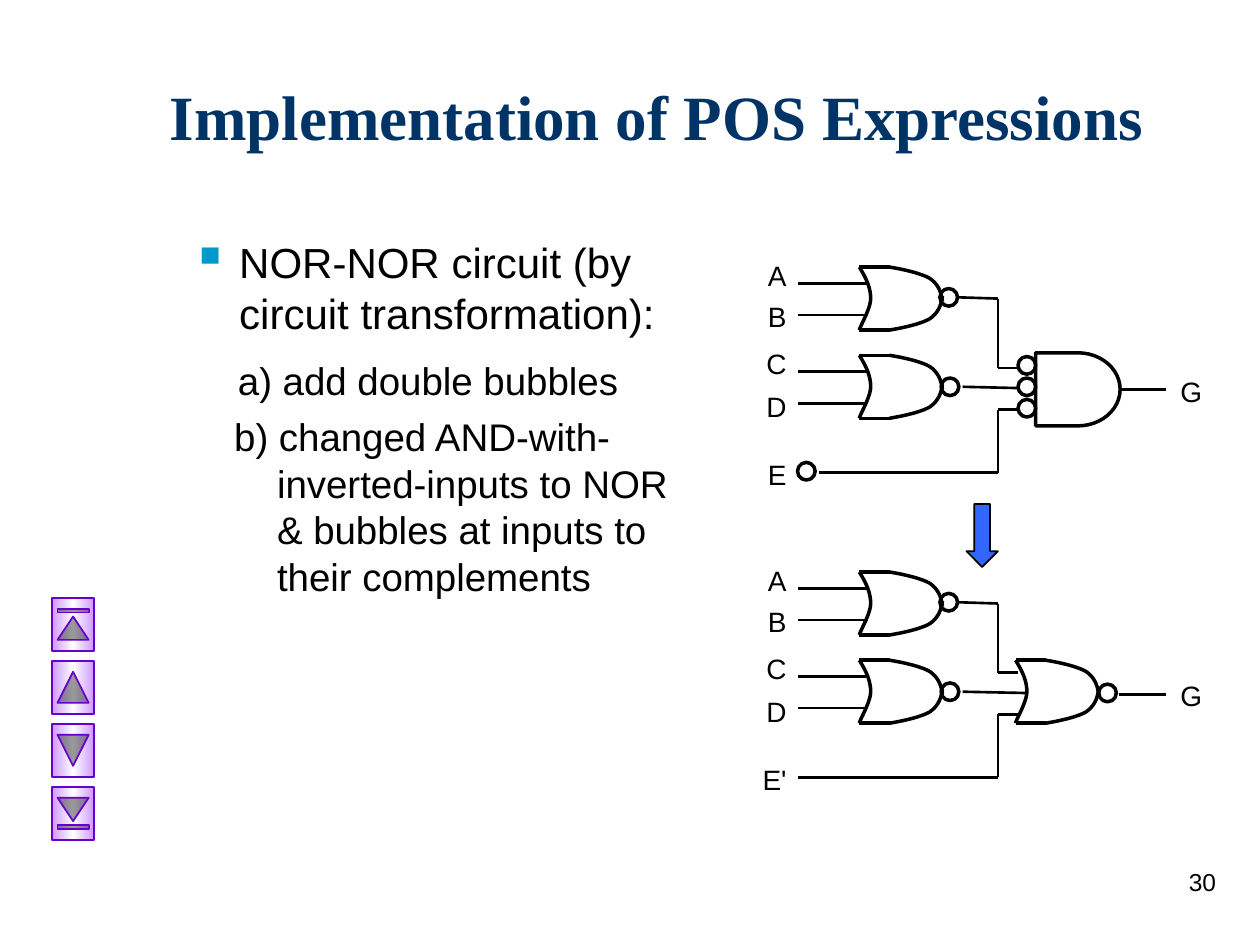
from dataclasses import dataclass
from typing import NamedTuple

from lxml import etree
from pptx import Presentation
from pptx.dml.color import RGBColor
from pptx.enum.shapes import MSO_CONNECTOR, MSO_SHAPE as Shape
from pptx.enum.text import MSO_ANCHOR as Anchor, PP_ALIGN as Align
from pptx.oxml.ns import qn
from pptx.util import Inches, Pt

BLACK, NAVY, CYAN = "000000", "003366", "0099CC"
BLUE, PURPLE, LILAC, WHITE = "3366FF", "6600CC", "CC99FF", "FFFFFF"
WIRE_PT, GATE_PT = 1.5, 2
CIRCUIT_GAP = 2.42
BUBBLE = 0.14


class Wire(NamedTuple):
    x1: float
    y1: float
    x2: float
    y2: float


class Label(NamedTuple):
    text: str
    y: float


class Point(NamedTuple):
    x: float
    y: float


@dataclass
class Line:
    text: str
    left: float
    indent: float = 0
    size: int = 22
    before: float = 0
    spacing: float = 1.0
    bullet: bool = False


BODY = [
    Line("NOR-NOR circuit (by circuit transformation):", 0.38, -0.38, size=24, bullet=True),
    Line("a) add double bubbles", 0.37, before=11),
    Line("b) changed AND-with-", 0.34, before=11, spacing=0.8),
    *(Line(text, 0.68, before=5.5, spacing=0.8)
      for text in ("inverted-inputs to NOR", "& bubbles at inputs to", "their complements")),
]

# Parts that both circuits share, placed for the upper one
INPUTS = [Label("A", 2), Label("B", 2.33), Label("C", 2.7), Label("D", 3.04)]
INPUT_GATES = [Point(6.82, 2.12), Point(6.82, 2.82)]
INPUT_BUBBLES = [Point(7.46, 2.29), Point(7.47, 3)]
SHARED_WIRES = [
    Wire(6.33, 2.25, 6.89, 2.25), Wire(6.33, 2.5, 6.89, 2.5),
    Wire(6.33, 2.95, 6.87, 2.95), Wire(6.33, 3.2, 6.87, 3.2),
    Wire(7.61, 2.36, 7.92, 2.37), Wire(7.92, 2.37, 7.92, 2.92),
    Wire(7.92, 2.92, 8.08, 2.92), Wire(7.92, 3.25, 8.08, 3.25),
    Wire(7.92, 3.25, 7.92, 3.75), Wire(8.88, 3.09, 9.25, 3.09),
]

# Gate outline, measured from its top left corner
GATE_EDGES = [Wire(0, 0, 0.24, 0), Wire(0, 0.5, 0.24, 0.5)]
GATE_CURVES = [
    [(0, 0), (0.05, 0.08), (0.09, 0.16), (0.09, 0.25), (0.09, 0.33), (0.01, 0.46), (0, 0.5)],
    [(0.24, 0), (0.36, 0.02), (0.49, 0.05), (0.56, 0.09), (0.63, 0.14), (0.65, 0.2), (0.66, 0.27)],
    [(0.24, 0.5), (0.36, 0.48), (0.49, 0.45), (0.56, 0.41), (0.63, 0.36), (0.65, 0.3), (0.66, 0.23)],
]

BUTTONS = [Shape.ACTION_BUTTON_BEGINNING, Shape.ACTION_BUTTON_BACK_OR_PREVIOUS,
           Shape.ACTION_BUTTON_FORWARD_OR_NEXT, Shape.ACTION_BUTTON_END]


def rgb(value: str) -> RGBColor:
    return RGBColor.from_string(value)


def set_line(item, color: str, width: float) -> None:
    item.line.color.rgb = rgb(color)
    item.line.width = Pt(width)


def add_text(s, text: str, x, y, w, h, *, size=16, font="Arial", color=BLACK,
             bold=False, align=Align.LEFT, anchor=Anchor.TOP):
    tf = s.shapes.add_textbox(Inches(x), Inches(y), Inches(w), Inches(h)).text_frame
    tf.word_wrap = True
    tf.vertical_anchor = anchor
    p = tf.paragraphs[0]
    p.alignment = align
    write_run(p, text, size, font, color, bold)
    return tf


def write_run(p, text: str, size, font="Arial", color=BLACK, bold=False) -> None:
    r = p.add_run()
    r.text = text
    r.font.size, r.font.name, r.font.bold = Pt(size), font, bold
    r.font.color.rgb = rgb(color)


def add_body(s) -> None:
    tf = s.shapes.add_textbox(Inches(1.42), Inches(1.83), Inches(4.25), Inches(3.08)).text_frame
    tf.word_wrap = True
    for i, line in enumerate(BODY):
        p = tf.add_paragraph() if i else tf.paragraphs[0]
        pPr = p._p.get_or_add_pPr()
        pPr.set("marL", str(Inches(line.left)))
        pPr.set("indent", str(Inches(line.indent)))
        p.space_before, p.line_spacing = Pt(line.before), line.spacing
        if line.bullet:
            color = etree.SubElement(pPr, qn("a:buClr"))
            etree.SubElement(color, qn("a:srgbClr"), val=CYAN)
            etree.SubElement(pPr, qn("a:buSzPct"), val="120000")
            etree.SubElement(pPr, qn("a:buChar"), char="▪")
        write_run(p, line.text, line.size)


def add_wire(s, wire: Wire, dx=0.0, dy=0.0, width=WIRE_PT) -> None:
    c = s.shapes.add_connector(MSO_CONNECTOR.STRAIGHT, Inches(wire.x1 + dx), Inches(wire.y1 + dy),
                               Inches(wire.x2 + dx), Inches(wire.y2 + dy))
    set_line(c, BLACK, width)
    etree.SubElement(c._element.spPr, qn("a:effectLst"))


def add_preset(s, kind, x, y, w, h, *, line=BLACK, width=GATE_PT, fill=None):
    sp = s.shapes.add_shape(kind, Inches(x), Inches(y), Inches(w), Inches(h))
    sp.shadow.inherit = False
    set_line(sp, line, width)
    if fill:
        sp.fill.solid()
        sp.fill.fore_color.rgb = rgb(fill)
    else:
        sp.fill.background()
    return sp


def add_bubble(s, x: float, y: float) -> None:
    add_preset(s, Shape.OVAL, x, y, BUBBLE, BUBBLE)


def bezier(points, steps=10):
    """Points along a chain of cubic curves that share their end points."""
    for i in range(0, len(points) - 1, 3):
        for step in range(1, steps + 1):
            t = step / steps
            weights = ((1 - t) ** 3, 3 * t * (1 - t) ** 2, 3 * t * t * (1 - t), t ** 3)
            yield tuple(sum(k * pt[axis] for k, pt in zip(weights, points[i:i + 4]))
                        for axis in (0, 1))


def add_or_gate(s, x: float, y: float) -> None:
    for edge in GATE_EDGES:
        add_wire(s, edge, x, y, GATE_PT)
    for curve in GATE_CURVES:
        x0, y0 = curve[0]
        builder = s.shapes.build_freeform(Inches(x + x0), Inches(y + y0))
        builder.add_line_segments([(Inches(x + px), Inches(y + py)) for px, py in bezier(curve)],
                                  close=False)
        sp = builder.convert_to_shape()
        sp.shadow.inherit = False
        sp.fill.background()
        set_line(sp, BLACK, GATE_PT)


def add_circuit(s, dy: float, last_input: str, wires: list[Wire]) -> None:
    """Inputs, first-level gates and wiring, moved down by dy."""
    for label in [*INPUTS, Label(last_input, 3.58)]:
        add_text(s, label.text, 5.92, label.y + dy, 0.42, 0.37, align=Align.RIGHT)
    add_text(s, "G", 9.27, 2.92 + dy, 0.39, 0.37)
    for wire in SHARED_WIRES + wires:
        add_wire(s, wire, dy=dy)
    for x, y in INPUT_GATES:
        add_or_gate(s, x, y + dy)
    for x, y in INPUT_BUBBLES:
        add_bubble(s, x, y + dy)


def add_button(s, kind, y: float) -> None:
    sp = add_preset(s, kind, 0.37, y, 0.42, 0.33, line=PURPLE, width=1)
    sp.rotation = 90
    sp.fill.gradient()
    sp.fill.gradient_angle = 90
    stops = sp._element.spPr.find(qn("a:gradFill")).find(qn("a:gsLst"))
    for stop in list(stops):
        stops.remove(stop)
    for position, color in ((0, LILAC), (50, WHITE), (100, LILAC)):
        stop = etree.SubElement(stops, qn("a:gs"), pos=str(position * 1000))
        etree.SubElement(stop, qn("a:srgbClr"), val=color)


def main() -> None:
    prs = Presentation()
    prs.slide_width, prs.slide_height = Inches(10), Inches(7.5)
    s = prs.slides.add_slide(prs.slide_layouts[6])
    add_text(s, "Implementation of POS Expressions", 1.25, 0.5, 8.5, 0.83, size=36,
             font="Times New Roman", color=NAVY, bold=True, anchor=Anchor.MIDDLE)
    add_body(s)

    add_circuit(s, 0, "E", [Wire(7.64, 3.07, 8.08, 3.08), Wire(6.5, 3.75, 7.92, 3.75)])
    add_preset(s, Shape.FLOWCHART_DELAY, 8.22, 2.8, 0.67, 0.58)
    for x, y in [(6.33, 3.67), (8.08, 2.83), (8.08, 3), (8.08, 3.17)]:
        add_bubble(s, x, y)

    add_circuit(s, CIRCUIT_GAP, "E'", [Wire(7.64, 3.07, 8.14, 3.08), Wire(6.33, 3.75, 7.92, 3.75)])
    add_or_gate(s, 8.06, 5.24)
    add_bubble(s, 8.72, 5.43)
    add_preset(s, Shape.DOWN_ARROW, 7.67, 4, 0.25, 0.5, width=1, fill=BLUE)

    for i, kind in enumerate(BUTTONS):
        add_button(s, kind, 4.79 + 0.5 * i)
    add_text(s, "30", 7.67, 6.83, 2.08, 0.5, size=14, align=Align.RIGHT)
    prs.save("out.pptx")


if __name__ == "__main__":
    main()
